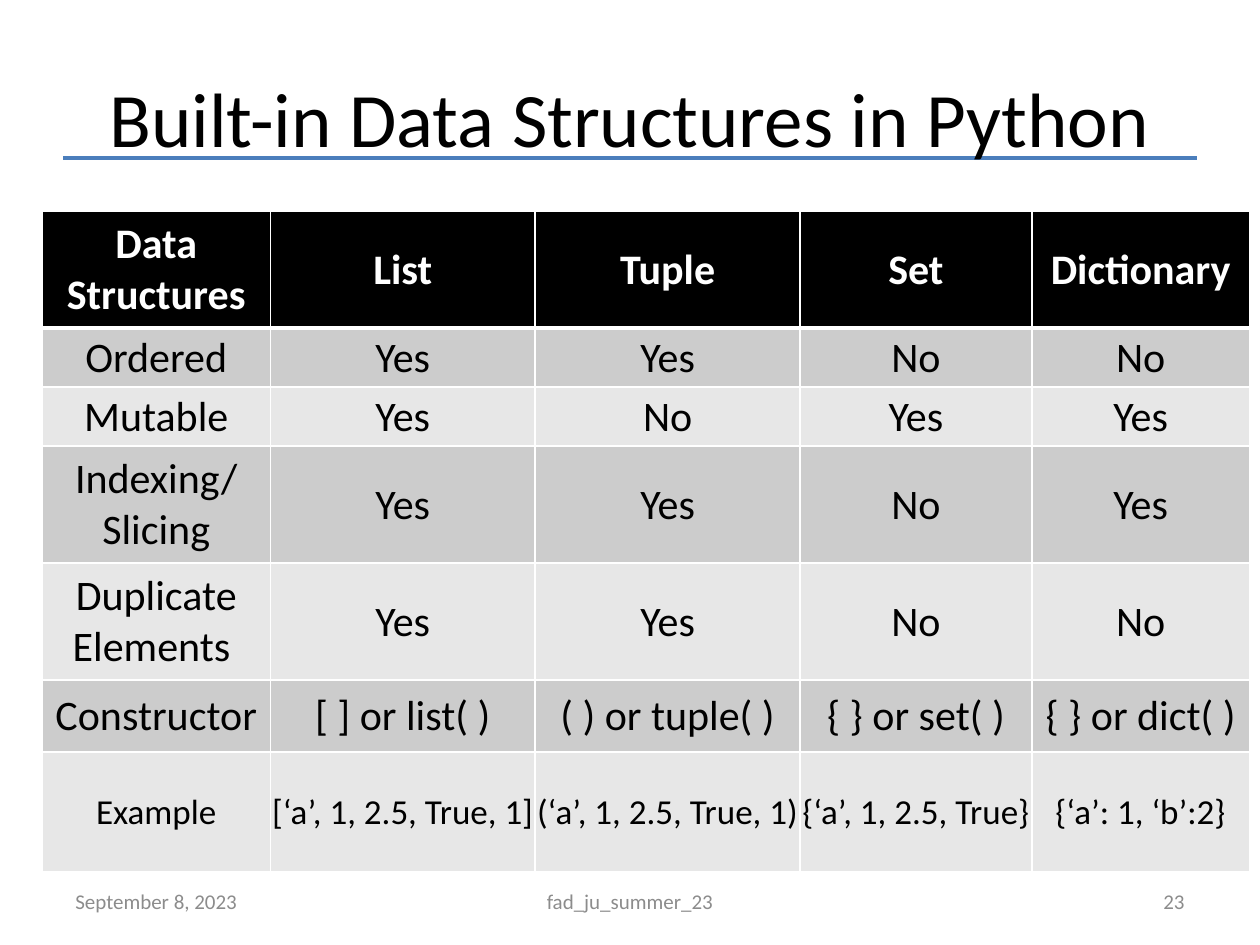
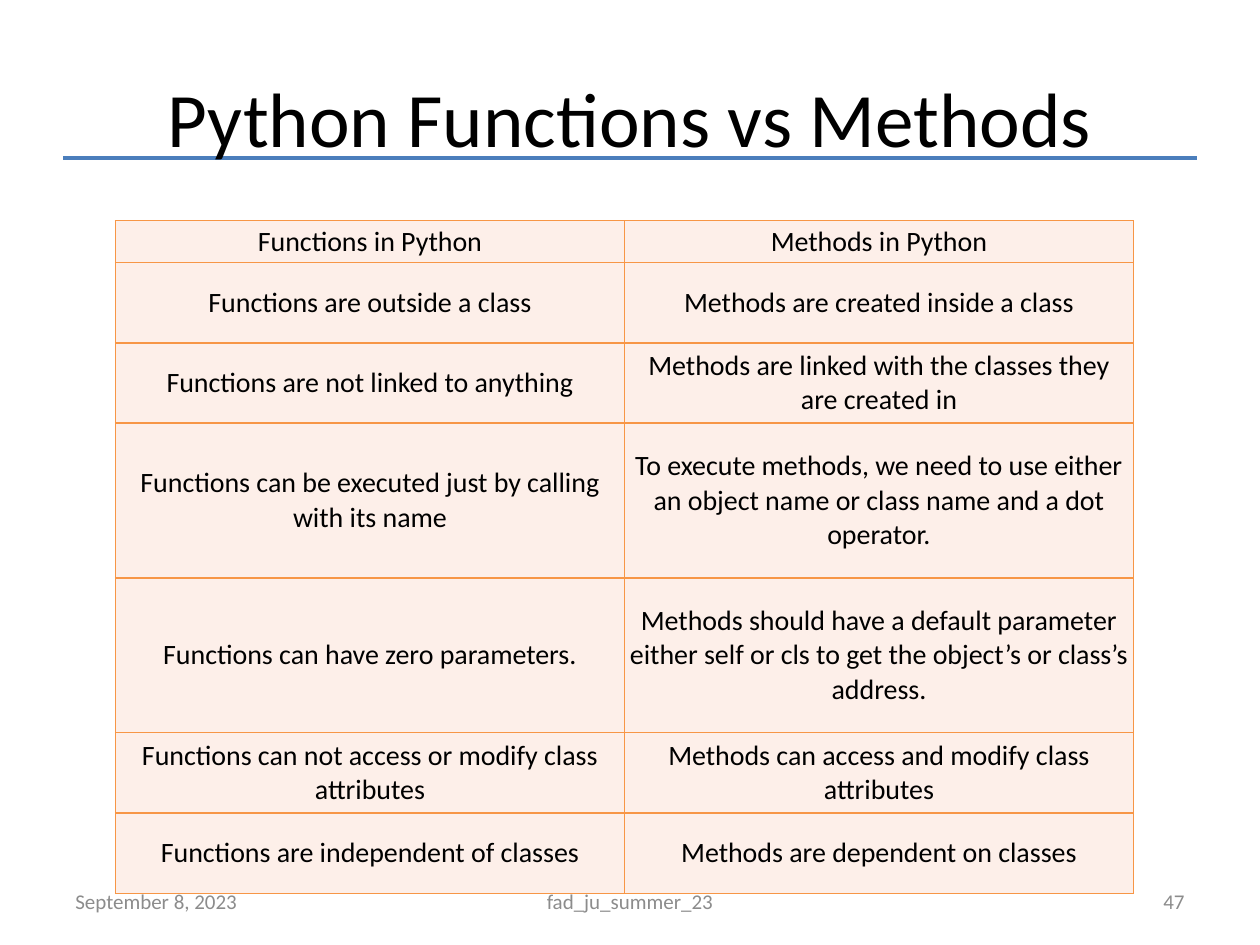
from lxml.etree import SubElement
from pptx import Presentation
from pptx.dml.color import RGBColor
from pptx.enum.shapes import MSO_CONNECTOR
from pptx.enum.text import MSO_ANCHOR, PP_ALIGN
from pptx.oxml.ns import qn
from pptx.util import Cm, Pt

STRUCTURES = [
    ("Data Structures", "List", "Tuple", "Set", "Dictionary"),
    ("Ordered", "Yes", "Yes", "No", "No"),
    ("Mutable", "Yes", "No", "Yes", "Yes"),
    ("Indexing/\nSlicing", "Yes", "Yes", "No", "Yes"),
    ("Duplicate Elements ", "Yes", "Yes", "No", "No"),
    ("Constructor", "[ ] or list( )", "( ) or tuple( )", "{ } or set( )", "{ } or dict( )"),
    ("Example", "[‘a’, 1, 2.5, True, 1]", "(‘a’, 1, 2.5, True, 1)", "{‘a’, 1, 2.5, True}",
     "{‘a’: 1, ‘b’:2}"),
]
COMPARISON = [
    ("Functions in Python", "Methods in Python"),
    ("Functions are outside a class", "Methods are created inside a class"),
    ("Functions are not linked to anything",
     "Methods are linked with the classes they are created in"),
    ("Functions can be executed just by calling with its name",
     "To execute methods, we need to use either an object name or class name and a dot operator."),
    ("Functions can have zero parameters.",
     "Methods should have a default parameter either self or cls to get the object’s or "
     "class’s address."),
    ("Functions can not access or modify class attributes",
     "Methods can access and modify class attributes"),
    ("Functions are independent of classes", "Methods are dependent on classes"),
]
DATE = "September 8, 2023"
COURSE = "fad_ju_summer_23"

FONT = "Calibri"
BLACK = RGBColor(0x00, 0x00, 0x00)
WHITE = RGBColor(0xFF, 0xFF, 0xFF)
RULE_BLUE = RGBColor(0x4B, 0x7E, 0xBC)
FOOTER_GREY = RGBColor(0x8C, 0x8C, 0x8C)
BAND_DARK = RGBColor(0xCC, 0xCC, 0xCC)
BAND_LIGHT = RGBColor(0xE7, 0xE7, 0xE7)
ORANGE = RGBColor(0xF7, 0x96, 0x46)
PEACH = RGBColor(0xFD, 0xEF, 0xE9)

SLIDE_WIDTH, SLIDE_HEIGHT, MARGIN = 25.4, 19.05, 1.27
CONTENT_WIDTH = SLIDE_WIDTH - 2 * MARGIN
RULE_TOP = 3.18
FOOTER_TOP, FOOTER_HEIGHT = 17.65, 1.02
SIDE_WIDTH, COURSE_WIDTH = 5.93, 8.04


def write(frame, text, size, color, align, bold=False):
    frame.word_wrap = True
    for index, line in enumerate(text.split("\n")):
        paragraph = frame.add_paragraph() if index else frame.paragraphs[0]
        paragraph.alignment = align
        run = paragraph.add_run()
        run.text = line
        run.font.name, run.font.size, run.font.bold = FONT, Pt(size), bold
        run.font.color.rgb = color


def add_text(slide, text, left, top, width, height, size, color, align):
    frame = slide.shapes.add_textbox(Cm(left), Cm(top), Cm(width), Cm(height)).text_frame
    frame.vertical_anchor = MSO_ANCHOR.MIDDLE
    write(frame, text, size, color, align)


def add_slide(presentation, title, number):
    """Add a slide with the shared rule, title and footer."""
    slide = presentation.slides.add_slide(presentation.slide_layouts[6])
    rule = slide.shapes.add_connector(MSO_CONNECTOR.STRAIGHT, Cm(MARGIN), Cm(RULE_TOP),
                                      Cm(SLIDE_WIDTH - MARGIN), Cm(RULE_TOP))
    rule.line.color.rgb, rule.line.width = RULE_BLUE, Pt(2)
    SubElement(rule._element.spPr, qn("a:effectLst"))
    add_text(slide, title, MARGIN, 0.76, CONTENT_WIDTH, RULE_TOP, 44, BLACK, PP_ALIGN.CENTER)
    footers = [
        (DATE, MARGIN, SIDE_WIDTH, PP_ALIGN.LEFT),
        (COURSE, (SLIDE_WIDTH - COURSE_WIDTH) / 2, COURSE_WIDTH, PP_ALIGN.CENTER),
        (str(number), SLIDE_WIDTH - MARGIN - SIDE_WIDTH, SIDE_WIDTH, PP_ALIGN.RIGHT),
    ]
    for text, left, width, align in footers:
        add_text(slide, text, left, FOOTER_TOP, width, FOOTER_HEIGHT, 12, FOOTER_GREY, align)
    return slide


def set_borders(cell, color, top=1, bottom=1):
    properties = cell._tc.get_or_add_tcPr()
    for side, points in (("L", 1), ("R", 1), ("T", top), ("B", bottom)):
        line = SubElement(properties, qn(f"a:ln{side}"), w=str(Pt(points)))
        SubElement(SubElement(line, qn("a:solidFill")), qn("a:srgbClr"), val=str(color))


def add_table(slide, rows, left, top, widths, heights, style):
    """Draw rows; style(row index) gives the look of a row's cells."""
    table = slide.shapes.add_table(len(rows), len(widths), Cm(left), Cm(top),
                                   Cm(sum(widths)), Cm(sum(heights))).table
    table.first_row = table.horz_banding = False
    for column, width in zip(table.columns, widths):
        column.width = Cm(width)
    for index, (row, height, texts) in enumerate(zip(table.rows, heights, rows)):
        row.height = Cm(height)
        look = style(index)
        for cell, text in zip(row.cells, texts):
            set_borders(cell, **look["borders"])
            cell.fill.solid()
            cell.fill.fore_color.rgb = look["fill"]
            cell.vertical_anchor = MSO_ANCHOR.MIDDLE
            cell.margin_left = cell.margin_right = cell.margin_top = Cm(look["inset"])
            cell.margin_bottom = Cm(look["inset_bottom"])
            write(cell.text_frame, text, look["size"], look["color"], PP_ALIGN.CENTER,
                  look["bold"])


def structures_style(index):
    header = index == 0
    band = BAND_DARK if index % 2 else BAND_LIGHT
    return {
        "fill": BLACK if header else band,
        "color": WHITE if header else BLACK,
        "bold": header,
        "size": 20 if index == len(STRUCTURES) - 1 else 24,
        "inset": 0.02,
        "inset_bottom": 0,
        "borders": {"color": WHITE, "top": 3 if index == 1 else 1, "bottom": 3 if header else 1},
    }


def comparison_style(index):
    return {"fill": PEACH, "color": BLACK, "bold": False, "size": 16,
            "inset": 0.05, "inset_bottom": 0.05, "borders": {"color": ORANGE}}


def main():
    presentation = Presentation()
    presentation.slide_width, presentation.slide_height = Cm(SLIDE_WIDTH), Cm(SLIDE_HEIGHT)

    slide = add_slide(presentation, "Built-in Data Structures in Python", 23)
    add_table(slide, STRUCTURES, 0.85, 4.25, [4.6, 5.34, 5.34, 4.67, 4.39],
              [2.36, 1.19, 1.19, 2.36, 2.36, 1.45, 2.41], structures_style)

    slide = add_slide(presentation, "Python Functions vs Methods", 47)
    add_table(slide, COMPARISON, 2.33, 4.45, [10.26] * 2,
              [0.84, 1.62, 1.62, 3.12, 3.12, 1.62, 1.62], comparison_style)

    presentation.save("out.pptx")


if __name__ == "__main__":
    main()
